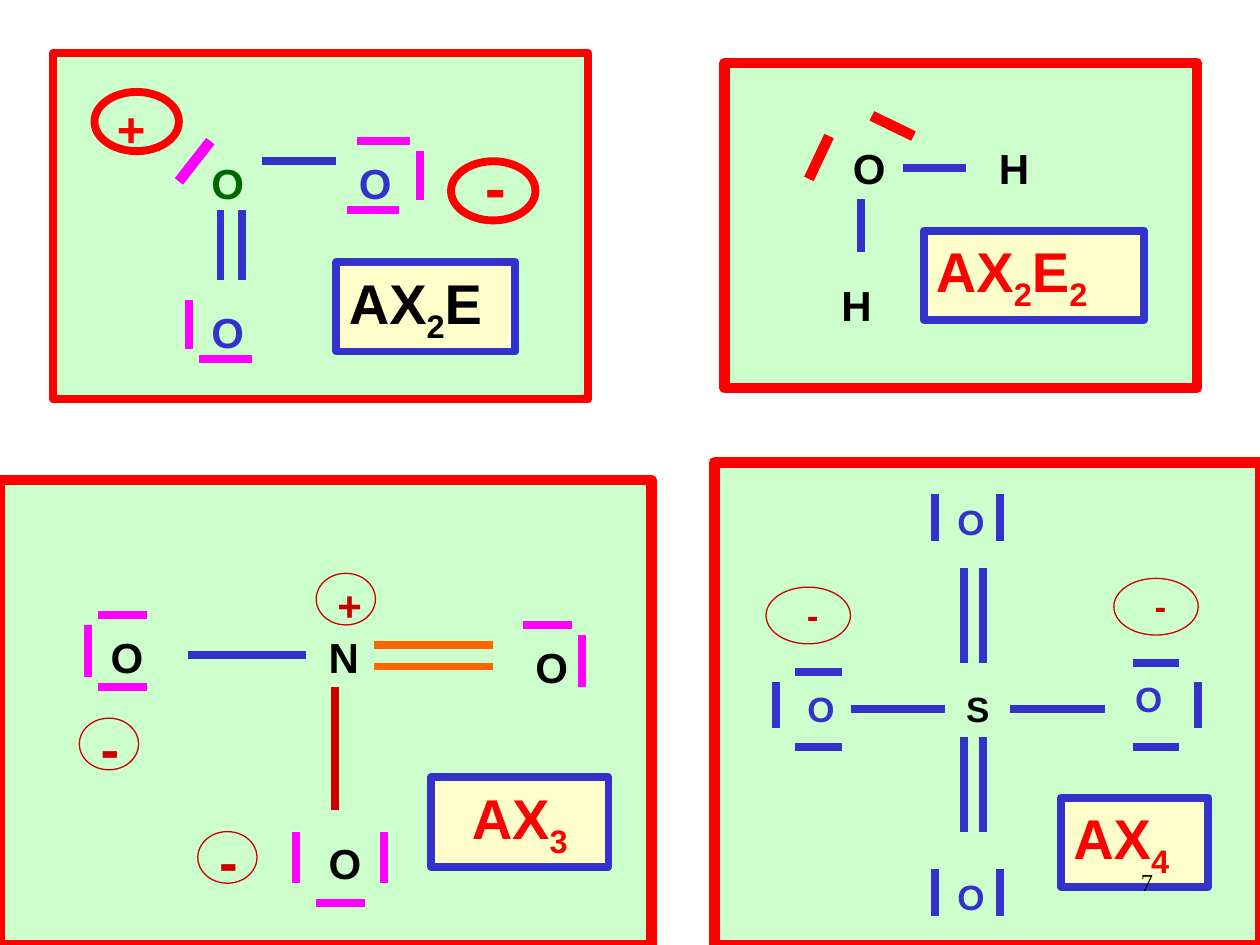
"""Build a slide of four Lewis structures with their AXE molecular types."""
from itertools import product

from lxml import etree
from pptx import Presentation
from pptx.dml.color import RGBColor
from pptx.enum import shapes, text
from pptx.oxml import ns
from pptx.util import Inches, Pt

BLACK = RGBColor.from_string("000000")
RED = RGBColor.from_string("FF0000")
DARK_RED = RGBColor.from_string("CC0000")
BLUE = RGBColor.from_string("3333CC")
MAGENTA = RGBColor.from_string("FF00FF")
ORANGE = RGBColor.from_string("FF6600")
DARK_GREEN = RGBColor.from_string("006600")
PALE_GREEN = RGBColor.from_string("CCFFCC")
CREAM = RGBColor.from_string("FFFFCC")

LEFT, CENTER, RIGHT = text.PP_ALIGN.LEFT, text.PP_ALIGN.CENTER, text.PP_ALIGN.RIGHT
ATOM_WIDTH = 0.58
CHARGE_WIDTH = 0.74
SIGN_SHIFT = {20: (0, 0), 24: (0.07, 0), 28: (0.08, 0), 32: (0.07, -0.09), 36: (0.17, -0.16)}

nitrate = {
    "panel": (0, 3.81, 5.17, 3.69, 6),
    "atom_size": 24,
    "atoms": [("N", 2.51, 4.96, BLACK), ("O", 4.15, 5.04, BLACK),
              ("O", 0.78, 4.96, BLACK), ("O", 2.51, 6.6, BLACK)],
    "strokes": [
        (ORANGE, 0.94, 0, [([2.97], [5.12, 5.29])]),
        (BLUE, 0.94, 0, [([1.49], [5.2])]),
        (DARK_RED, 0, 0.98, [([2.66], [5.45])]),
        (MAGENTA, 0.39, 0, [([0.78], [4.88, 5.45]), ([4.15], [4.96]), ([2.51], [7.17])]),
        (MAGENTA, 0, 0.41, [([0.7], [4.96]), ([4.62], [5.04]), ([2.35, 3.05], [6.6])]),
    ],
    "ring": (0.47, 0.41, DARK_RED, 0.75),
    "charges": [("+", 2.51, 4.55, 24), ("-", 0.63, 5.7, 32), ("-", 1.57, 6.6, 32)],
    "label": ("AX3", 3.42, 6.17, 1.41, RED, CENTER),
}
ozone = {
    "panel": (0.42, 0.42, 4.25, 2.75, 4.5),
    "atom_size": 24,
    "atoms": [("O", 1.58, 1.2, DARK_GREEN), ("O", 2.75, 1.2, BLUE), ("O", 1.58, 2.38, BLUE)],
    "strokes": [
        (BLUE, 0, 0.55, [([1.75, 1.92], [1.67])]),
        (BLUE, 0.59, 0, [([2.08], [1.28])]),
        (MAGENTA, 0.42, 0, [([2.83], [1.12]), ([2.75], [1.67]), ([1.58], [2.85])]),
        (MAGENTA, 0, 0.39, [([3.33], [1.2]), ([1.5], [2.38])]),
        (MAGENTA, 0.25, -0.32, [([1.42], [1.44])]),
    ],
    "ring": (0.67, 0.47, RED, 4.5),
    "charges": [("-", 3.58, 1.28, 36), ("+", 0.75, 0.73, 28)],
    "label": ("AX2E", 2.67, 2.08, 1.42, BLACK, LEFT),
}
sulfate = {
    "panel": (5.67, 3.67, 4.33, 3.83, 6),
    "atom_size": 20,
    "atoms": [("S", 7.57, 5.41, BLACK), ("O", 6.31, 5.41, BLUE), ("O", 7.5, 6.9, BLUE),
              ("O", 7.5, 3.92, BLUE), ("O", 8.91, 5.33, BLUE)],
    "strokes": [
        (BLUE, 0.37, 0, [([6.31], [5.33, 5.93]), ([8.99], [5.26, 5.93])]),
        (BLUE, 0, 0.37, [([7.42, 7.94], [3.92, 6.9]), ([6.16, 9.51], [5.41])]),
        (BLUE, 0.75, 0, [([6.75, 8.02], [5.63])]),
        (BLUE, 0, 0.75, [([7.65, 7.8], [4.51, 5.85])]),
    ],
    "ring": (0.67, 0.45, DARK_RED, 0.75),
    "charges": [("-", 8.84, 4.59, 20), ("-", 6.08, 4.66, 20)],
    "label": ("AX4", 8.42, 6.33, 1.17, RED, LEFT),
}
water = {
    "panel": (5.75, 0.5, 3.75, 2.58, 6),
    "atom_size": 24,
    "atoms": [("O", 6.67, 1.08, BLACK), ("H", 7.83, 1.08, BLACK), ("H", 6.58, 2.17, BLACK)],
    "strokes": [
        (BLUE, 0.5, 0, [([7.17], [1.33])]),
        (BLUE, 0, 0.42, [([6.83], [1.58])]),
        (RED, 0.16, -0.34, [([6.42], [1.42])]),
        (RED, 0.33, 0.16, [([6.92], [0.92])]),
    ],
    "charges": [],
    "label": ("AX2E2", 7.33, 1.83, 1.75, RED, LEFT),
}


def add_outlined(parent, kind, left, top, width, height, fill, color, weight):
    shape = parent.add_shape(kind, Inches(left), Inches(top), Inches(width), Inches(height))
    shape.shadow.inherit = False
    if fill is None:
        shape.fill.background()
    else:
        shape.fill.solid()
        shape.fill.fore_color.rgb = fill
    shape.line.color.rgb = color
    shape.line.width = Pt(weight)
    return shape


def write(shape, pieces, size, color, align=LEFT, font="Arial", bold=True):
    frame = shape.text_frame
    frame.word_wrap = True
    frame.vertical_anchor = text.MSO_ANCHOR.TOP
    paragraph = frame.paragraphs[0]
    paragraph.alignment = align
    for piece in pieces:
        run = paragraph.add_run()
        run.text = piece
        run.font.size = Pt(size)
        run.font.name = font
        run.font.bold = bold
        run.font.color.rgb = color
        if len(pieces) > 1 and piece.isdigit():
            run._r.get_or_add_rPr().set("baseline", "-25000")


presentation = Presentation()
presentation.slide_width = Inches(10)
presentation.slide_height = Inches(7.5)
slide = presentation.slides.add_slide(presentation.slide_layouts[6])

for molecule in (nitrate, ozone, sulfate, water):
    group = slide.shapes.add_group_shape().shapes
    left, top, width, height, weight = molecule["panel"]
    add_outlined(group, shapes.MSO_SHAPE.RECTANGLE, left, top, width, height,
                 PALE_GREEN, RED, weight)

    letters = [(symbol, left, top, ATOM_WIDTH, molecule["atom_size"], color, LEFT)
               for symbol, left, top, color in molecule["atoms"]]
    for sign, left, top, size in molecule["charges"]:
        width, height, color, weight = molecule["ring"]
        add_outlined(group, shapes.MSO_SHAPE.OVAL, left, top, width, height,
                     None, color, weight)
        shift_x, shift_y = SIGN_SHIFT[size]
        align = LEFT if shift_x else CENTER
        letters.append((sign, left + shift_x, top + shift_y, CHARGE_WIDTH, size, color, align))

    for symbol, left, top, width, size, color, align in letters:
        height = size * 1.2 / 72 + 0.1
        box = group.add_textbox(Inches(left), Inches(top), Inches(width), Inches(height))
        write(box, [symbol], size, color, align)
        box.text_frame.auto_size = text.MSO_AUTO_SIZE.SHAPE_TO_FIT_TEXT

    for color, run_x, run_y, grids in molecule["strokes"]:
        for x, y in [point for grid in grids for point in product(*grid)]:
            stroke = group.add_connector(shapes.MSO_CONNECTOR.STRAIGHT, Inches(x), Inches(y),
                                         Inches(x + run_x), Inches(y + run_y))
            stroke.line.color.rgb = color
            stroke.line.width = Pt(6 if run_x and run_y else 4.5)
            etree.SubElement(stroke._element.spPr, ns.qn("a:effectLst"))

    formula, left, top, width, color, align = molecule["label"]
    label = add_outlined(slide.shapes, shapes.MSO_SHAPE.RECTANGLE, left, top, width, 0.71,
                         CREAM, BLUE, 4.5)
    write(label, ["AX", *formula[2:]], 32, color, align)
    label.text_frame.auto_size = text.MSO_AUTO_SIZE.SHAPE_TO_FIT_TEXT

page_number = slide.shapes.add_textbox(Inches(7.17), Inches(6.83), Inches(2.08), Inches(0.5))
write(page_number, ["7"], 14, BLACK, RIGHT, "Times New Roman", False)

presentation.save("out.pptx")
